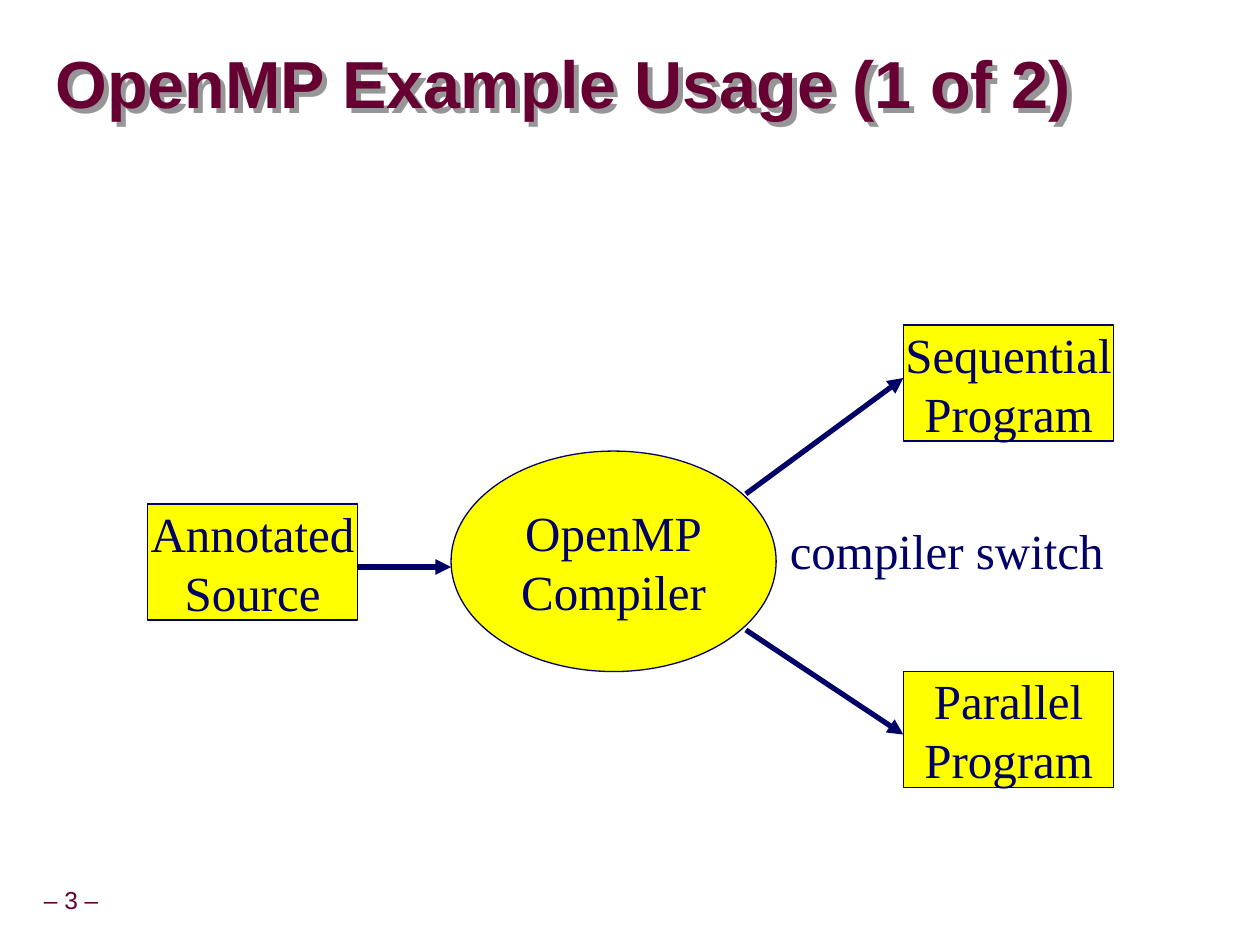
from lxml.etree import SubElement
from pptx import Presentation
from pptx.dml.color import RGBColor
from pptx.enum.shapes import MSO_CONNECTOR, MSO_SHAPE
from pptx.enum.text import MSO_ANCHOR, PP_ALIGN
from pptx.oxml.ns import qn
from pptx.util import Inches, Pt

MAROON, NAVY, YELLOW, GRAY = "660033", "000066", "FFFF00", "969696"
NODE_W, NODE_H = 1.67, 0.92


def rgb(color):
    return RGBColor.from_string(color)


def write(shape, lines, font, size, color, align=PP_ALIGN.LEFT,
          anchor=MSO_ANCHOR.MIDDLE, inset=(0.1, 0.05), spacing=None, bold=False):
    tf = shape.text_frame
    tf.word_wrap = False
    tf.vertical_anchor = anchor
    tf.margin_left = tf.margin_right = Inches(inset[0])
    tf.margin_top = tf.margin_bottom = Inches(inset[1])
    tf.text = "\n".join(lines)
    for p in tf.paragraphs:
        p.alignment = align
        p.line_spacing = spacing
        p.font.name = font
        p.font.size = Pt(size)
        p.font.bold = bold
        p.font.color.rgb = rgb(color)


def add_text(s, box, lines, *style, **options):
    tb = s.shapes.add_textbox(*map(Inches, box))
    write(tb, lines, *style, **options)
    return tb


def add_title(s, box, text):
    tb = add_text(s, box, [text], "Arial", 38, MAROON,
                  inset=(0, 0), spacing=0.87, bold=True)
    tb.text_frame.word_wrap = True
    effects = SubElement(tb._element.spPr, qn("a:effectLst"))
    shadow = SubElement(effects, qn("a:outerShdw"), dist=str(Pt(4)),
                        dir="2700000", algn="ctr", rotWithShape="0")
    SubElement(shadow, qn("a:srgbClr"), val=GRAY)


def add_node(s, kind, box, lines):
    sp = s.shapes.add_shape(kind, *map(Inches, box))
    sp.shadow.inherit = False
    sp.fill.solid()
    sp.fill.fore_color.rgb = rgb(YELLOW)
    sp.line.color.rgb = rgb(NAVY)
    sp.line.width = Pt(0.75)
    write(sp, lines, "Times New Roman", 28, NAVY, PP_ALIGN.CENTER)


def add_arrow(s, start, end):
    c = s.shapes.add_connector(MSO_CONNECTOR.STRAIGHT, *map(Inches, start + end))
    c.line.color.rgb = rgb(NAVY)
    c.line.width = Pt(3)
    SubElement(c.line._get_or_add_ln(), qn("a:tailEnd"), type="triangle")
    SubElement(c._element.spPr, qn("a:effectLst"))


def add_diagram(s, x, y):
    add_node(s, MSO_SHAPE.OVAL, (x + 2.41, y + 1, 2.58, 1.75),
             ["OpenMP", "Compiler"])
    for dx, dy, lines in [(0, 1.42, ["Annotated", "Source"]),
                          (6, 0, ["Sequential", "Program"]),
                          (6, 2.75, ["Parallel", "Program"])]:
        add_node(s, MSO_SHAPE.RECTANGLE, (x + dx, y + dy, NODE_W, NODE_H), lines)
    add_arrow(s, (x + NODE_W, y + 1.92), (x + 2.41, y + 1.92))
    for start_dy, end_dy in [(1.34, 0.42), (2.42, 3.25)]:
        add_arrow(s, (x + 4.75, y + start_dy), (x + 6, y + end_dy))
    add_text(s, (x + 5, y + 1.5, 2.69, 0.57), ["compiler switch"],
             "Times New Roman", 28, NAVY, anchor=MSO_ANCHOR.TOP)


def add_page_number(s, box, text):
    add_text(s, box, [text], "Arial", 14, MAROON, PP_ALIGN.CENTER,
             inset=(0.05, 0.05), spacing=0.9)


def main():
    prs = Presentation()
    prs.slide_width, prs.slide_height = Inches(10), Inches(7.5)
    s = prs.slides.add_slide(prs.slide_layouts[6])
    add_page_number(s, (-0.09, 7, 1.31, 0.31), "– 3 –")
    add_title(s, (0.44, 0.27, 9.53, 0.85), "OpenMP Example Usage (1 of 2)")
    add_diagram(s, 1.17, 2.58)
    prs.save("out.pptx")


if __name__ == "__main__":
    main()
